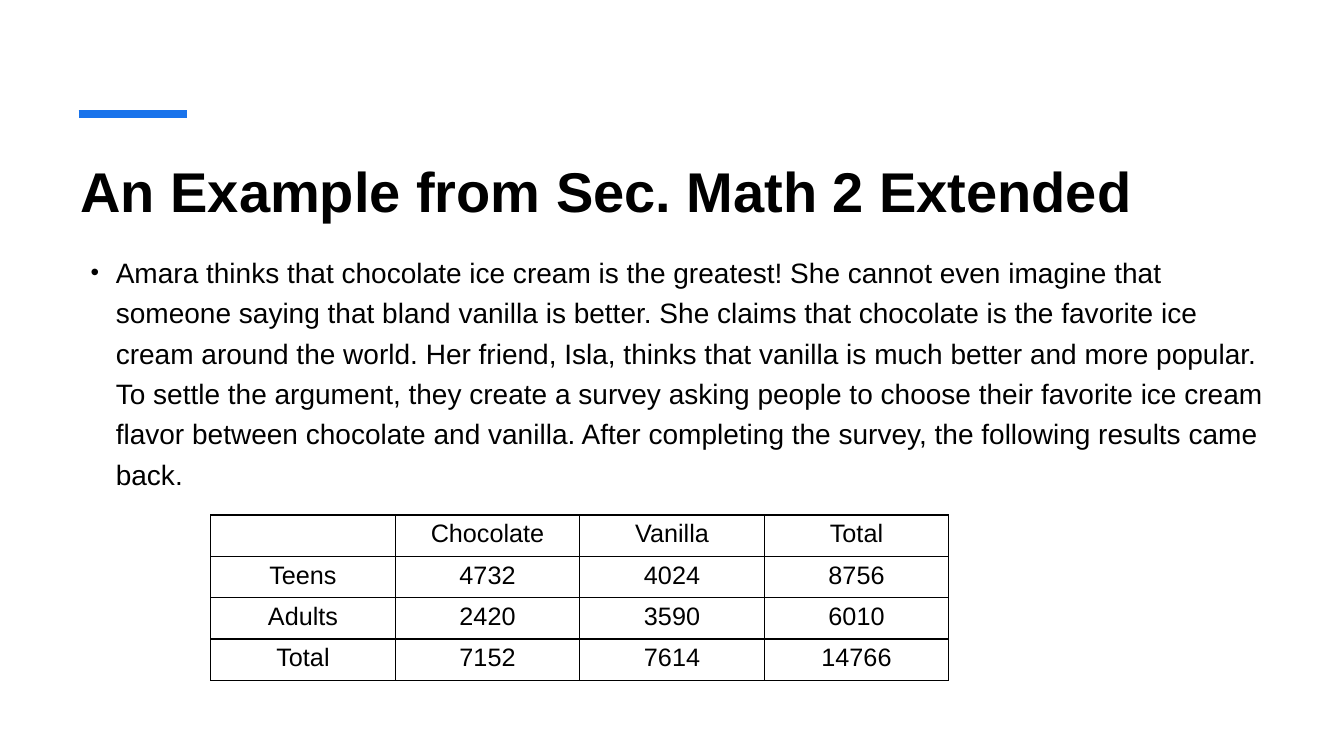
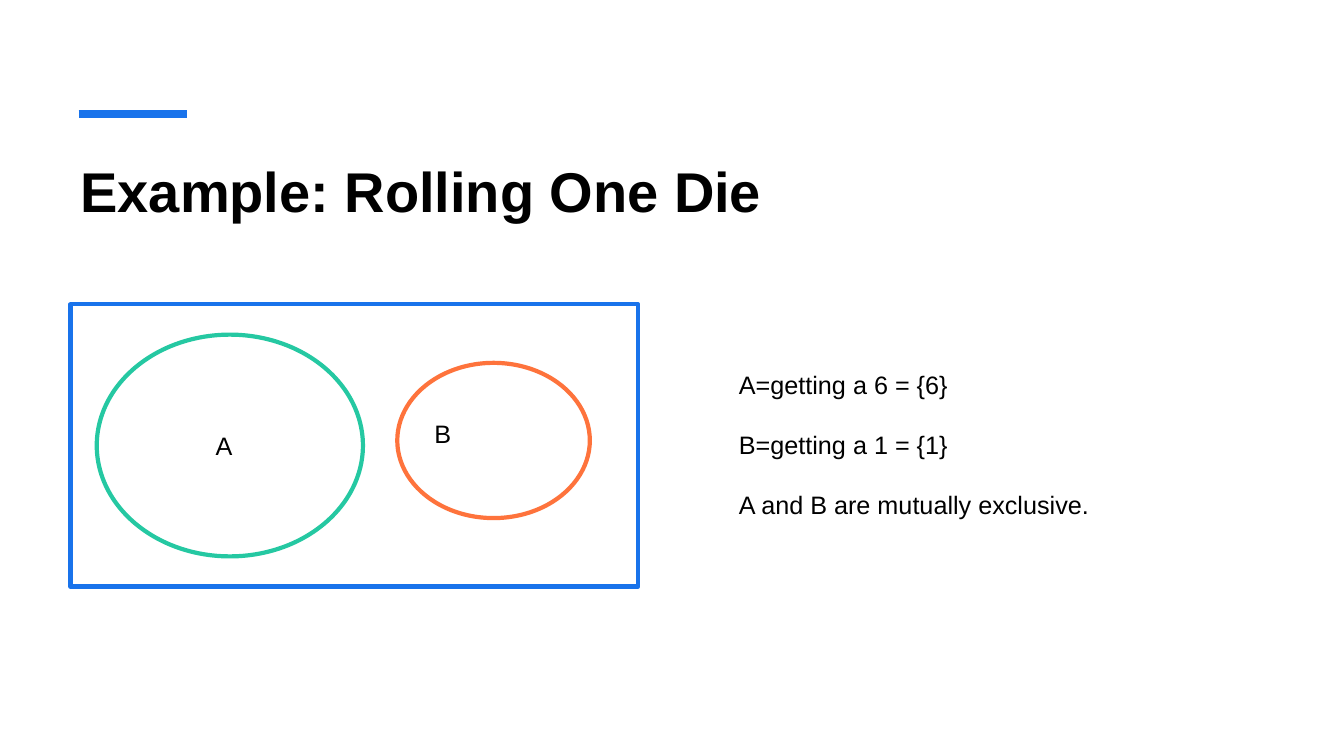
from lxml.etree import SubElement
from pptx import Presentation
from pptx.dml.color import RGBColor
from pptx.enum.shapes import MSO_CONNECTOR, MSO_SHAPE
from pptx.enum.text import PP_ALIGN, MSO_ANCHOR
from pptx.oxml.ns import qn
from pptx.util import Inches, Pt

COLORS = {
    "text": "000000",
    "blue": "1973EB",
    "green": "25C8A2",
    "orange": "FE733C",
}
FONT = "Arial"
BODY_SIZE = 18

STORY = (
    "Amara thinks that chocolate ice cream is the greatest! She cannot even "
    "imagine that someone saying that bland vanilla is better. She claims that "
    "chocolate is the favorite ice cream around the world. Her friend, Isla, "
    "thinks that vanilla is much better and more popular. To settle the "
    "argument, they create a survey asking people to choose their favorite ice "
    "cream flavor between chocolate and vanilla. After completing the survey, "
    "the following results came back."
)
SURVEY = [
    ["", "Chocolate", "Vanilla", "Total"],
    ["Teens", "4732", "4024", "8756"],
    ["Adults", "2420", "3590", "6010"],
    ["Total", "7152", "7614", "14766"],
]


def rgb(name):
    return RGBColor.from_string(COLORS[name])


class Deck:
    def __init__(self):
        self.prs = Presentation()
        self.prs.slide_width = Inches(13.33)
        self.prs.slide_height = Inches(7.5)
        self.s = None

    def slide(self, title):
        """Start a slide with the accent rule and its title."""
        self.s = self.prs.slides.add_slide(self.prs.slide_layouts[6])
        self.rule(0.78, 1.13, 1.85)
        self.text([title], 0.7, 1.5, 11.91, 0.79, size=40, bold=True)

    def rule(self, x1, y, x2):
        line = self.s.shapes.add_connector(
            MSO_CONNECTOR.STRAIGHT, Inches(x1), Inches(y), Inches(x2), Inches(y))
        line.line.color.rgb = rgb("blue")
        line.line.width = Pt(6)
        SubElement(line._element.spPr, qn("a:effectLst"))

    def style(self, p, size=BODY_SIZE, bold=False):
        for r in p.runs:
            r.font.name = FONT
            r.font.size = Pt(size)
            r.font.bold = bold
            r.font.color.rgb = rgb("text")

    def text(self, lines, x, y, w, h, size=BODY_SIZE, bold=False, gap=0):
        """Add a text box with one paragraph per line, gap points apart."""
        box = self.s.shapes.add_textbox(Inches(x), Inches(y), Inches(w), Inches(h))
        tf = box.text_frame
        tf.word_wrap = True
        tf.text = "\n".join(lines)
        for i, p in enumerate(tf.paragraphs):
            if i:
                p.space_before = Pt(gap)
            self.style(p, size, bold)
        return tf

    def bullet(self, text, x, y, w, h):
        p = self.text([text], x, y, w, h, size=20).paragraphs[0]
        p.line_spacing = 1.2
        pPr = p._p.get_or_add_pPr()
        pPr.set("marL", str(Inches(0.25)))
        pPr.set("indent", str(-Inches(0.25)))
        SubElement(pPr, qn("a:buSzPct"), val="87000")
        SubElement(pPr, qn("a:buFont"), typeface=FONT)
        SubElement(pPr, qn("a:buChar"), char="•")

    def outline(self, kind, color, x, y, w, h):
        sp = self.s.shapes.add_shape(kind, Inches(x), Inches(y), Inches(w), Inches(h))
        sp.shadow.inherit = False
        sp.fill.background()
        sp.line.color.rgb = rgb(color)
        sp.line.width = Pt(3)

    def table(self, rows, x, y, col_w, row_h):
        n_rows, n_cols = len(rows), len(rows[0])
        table = self.s.shapes.add_table(
            n_rows, n_cols, Inches(x), Inches(y),
            Inches(col_w * n_cols), Inches(row_h * n_rows)).table
        table.first_row = table.horz_banding = False
        for col in table.columns:
            col.width = Inches(col_w)
        for row, values in zip(table.rows, rows):
            row.height = Inches(row_h)
            for cell, value in zip(row.cells, values):
                cell.text = value
                p = cell.text_frame.paragraphs[0]
                p.alignment = PP_ALIGN.CENTER
                self.style(p)
                cell.vertical_anchor = MSO_ANCHOR.TOP
                self.borders(cell)
                cell.fill.background()

    def borders(self, cell):
        tcPr = cell._tc.get_or_add_tcPr()
        for side in ("lnL", "lnR", "lnT", "lnB"):
            ln = SubElement(tcPr, qn(f"a:{side}"), w=str(Pt(1)))
            fill = SubElement(ln, qn("a:solidFill"))
            SubElement(fill, qn("a:srgbClr"), val=COLORS["text"])


def survey_slide(deck):
    deck.slide("An Example from Sec. Math 2 Extended")
    deck.bullet(STORY, 0.8, 2.42, 11.98, 2.43)
    deck.table(SURVEY, 2.09, 5.11, col_w=1.83, row_h=0.41)


def die_slide(deck):
    deck.slide("Example: Rolling One Die")
    deck.outline(MSO_SHAPE.RECTANGLE, "blue", 0.7, 3.02, 5.63, 2.8)
    deck.outline(MSO_SHAPE.OVAL, "green", 0.96, 3.32, 2.64, 2.2)
    deck.outline(MSO_SHAPE.OVAL, "orange", 3.94, 3.6, 1.91, 1.54)
    deck.text(["A"], 2.04, 4.22, 0.79, 0.4)
    deck.text(["B"], 4.21, 4.1, 1.57, 0.4)
    deck.text(
        ["A=getting a 6 = {6}", "B=getting a 1 = {1}", "A and B are mutually exclusive."],
        7.23, 3.61, 4.85, 1.62, gap=21.6)


def main():
    deck = Deck()
    survey_slide(deck)
    die_slide(deck)
    deck.prs.save("out.pptx")


if __name__ == "__main__":
    main()
